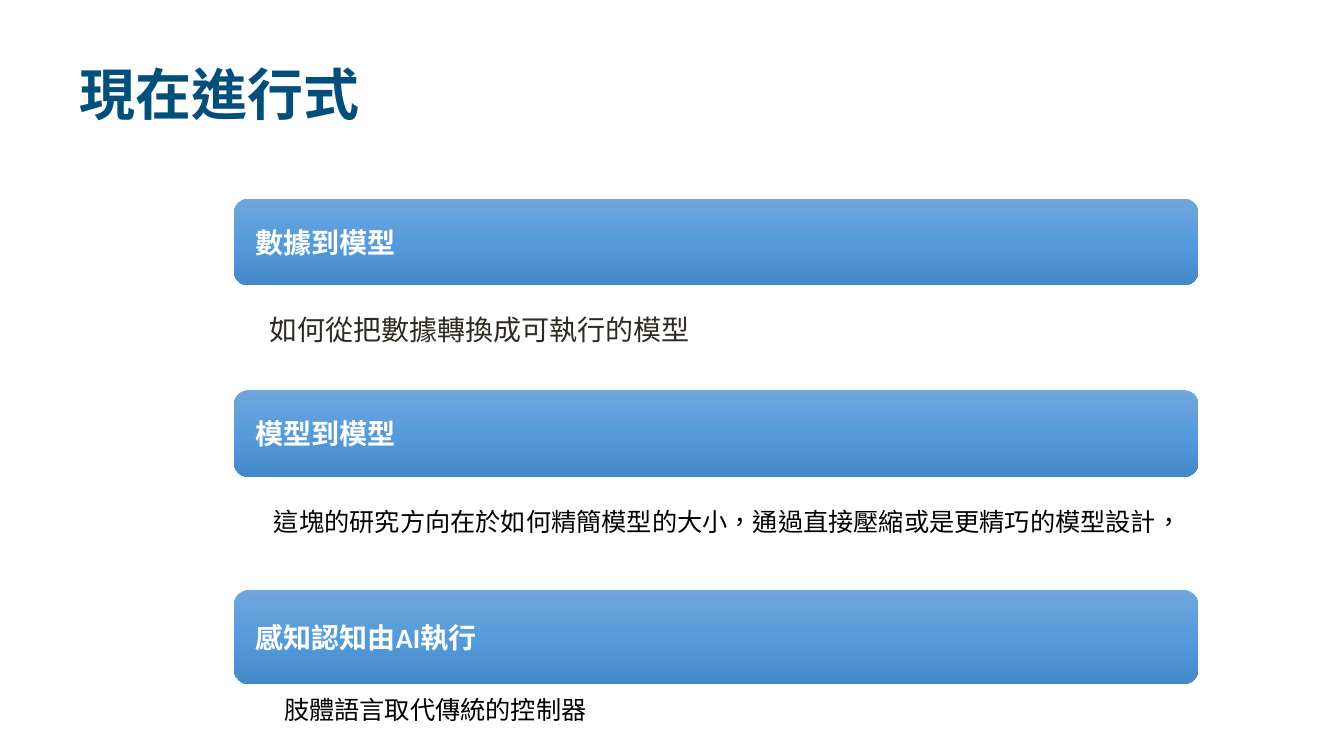
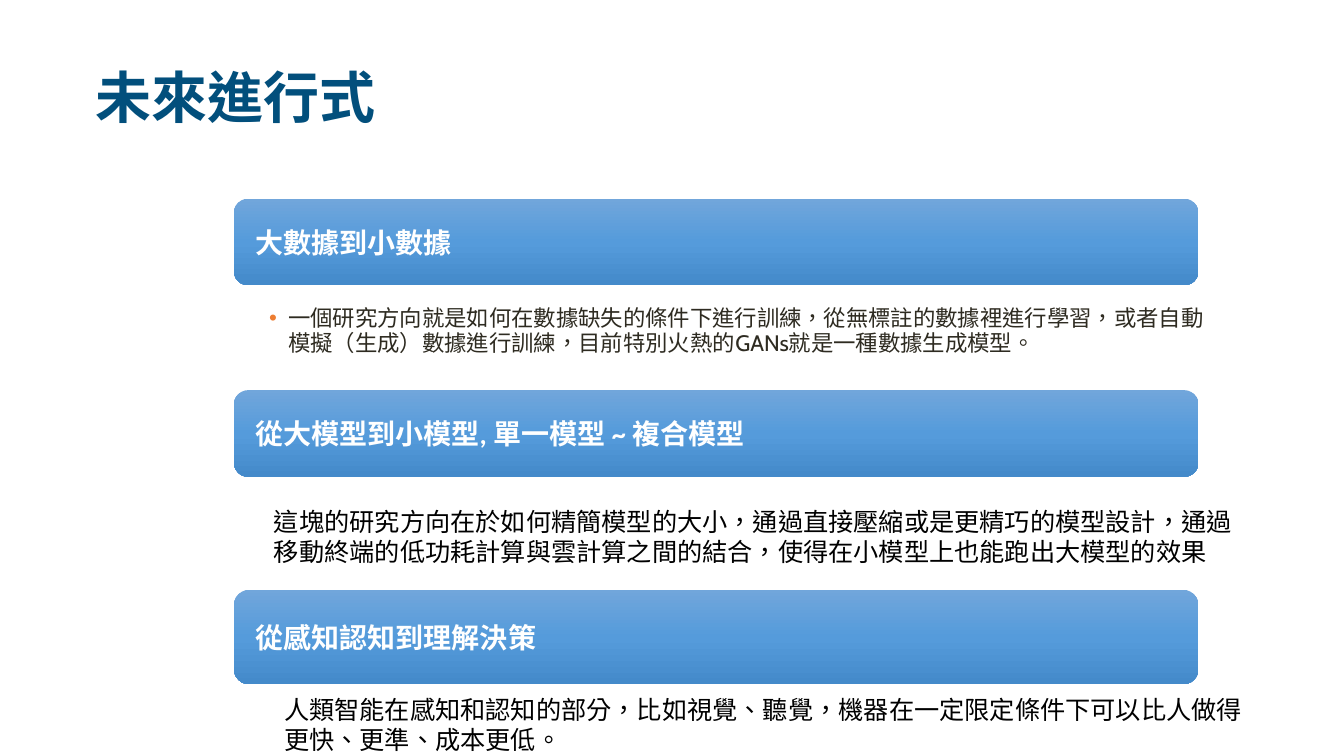
import copy

import pptx
import pptx.dml.color
import pptx.enum.dml
import pptx.enum.lang
import pptx.enum.shapes
import pptx.enum.text
import pptx.oxml
import pptx.oxml.ns
import pptx.util

RGBColor = pptx.dml.color.RGBColor
Inches, Pt = pptx.util.Inches, pptx.util.Pt
MIDDLE = pptx.enum.text.MSO_ANCHOR.MIDDLE
TOP = pptx.enum.text.MSO_ANCHOR.TOP

NAVY = RGBColor(0x02, 0x4F, 0x7C)
WHITE = RGBColor(0xFF, 0xFF, 0xFF)
BLACK = RGBColor(0, 0, 0)
INK = RGBColor(0x2E, 0x2B, 0x21)
BAR_STOPS = [(0, RGBColor(0x71, 0xA6, 0xDB)),
             (0.5, RGBColor(0x55, 0x9B, 0xDB)),
             (1, RGBColor(0x44, 0x8A, 0xCA))]
BULLET = ('<a:buClr {0}><a:srgbClr val="ED7D31"/></a:buClr>',
          '<a:buFont {0} typeface="Arial"/>', '<a:buChar {0} char="•"/>')

TITLE = dict(name="Arial", size=Pt(40), bold=True)
HEADING = dict(name="Calibri", size=Pt(20), bold=True)
LEAD = dict(name="Cabin", bold=False)
NOTE = dict(name="Calibri", size=Pt(18), bold=False)

# Places are left, top, width, height in percent of the slide
BAR_LEFT, BAR_WIDTH = 17.4, 71.78
BAR_ROWS = [(26.27, 11.47), (51.6, 11.47), (78, 12.53)]
LEAD_PLACE = (19.65, 36.67, BAR_WIDTH, 14.4)
NOTE_PLACES = [(19.65, 66.27, 73.5), (16.65, 91.2, 77.7)]
NOTE_INDENTS = [0, 0.5]

SLIDES = [
    dict(title="現在進行式", title_place=(4.95, 8, 47.18, 9.87),
         headings=["數據到模型", "模型到模型", "感知認知由AI執行"],
         lead="如何從把數據轉換成可執行的模型", lead_size=20, bullet=False,
         note_height=5.33,
         notes=["這塊的研究方向在於如何精簡模型的大小，通過直接壓縮或是更精巧的模型設計，",
                "肢體語言取代傳統的控制器"]),
    dict(title="未來進行式", title_place=(6.15, 8.67, 47.18, 9.33),
         headings=["大數據到小數據", "從大模型到小模型, 單一模型 ~ 複合模型", "從感知認知到理解決策"],
         lead="一個研究方向就是如何在數據缺失的條件下進行訓練，從無標註的數據裡進行學習，"
              "或者自動模擬（生成）數據進行訓練，目前特別火熱的GANs就是一種數據生成模型。",
         lead_size=16, bullet=True, note_height=9.47,
         notes=["這塊的研究方向在於如何精簡模型的大小，通過直接壓縮或是更精巧的模型設計，"
                "通過移動終端的低功耗計算與雲計算之間的結合，使得在小模型上也能跑出大模型的效果",
                "人類智能在感知和認知的部分，比如視覺、聽覺，機器在一定限定條件下可以比人做得"
                "更快、更準、成本更低。"]),
]

prs = pptx.Presentation()
prs.slide_width, prs.slide_height = Inches(13.33), Inches(7.5)


def place(left, top, width, height):
    """Turn percentages of the slide into lengths."""
    col, row = prs.slide_width / 100, prs.slide_height / 100
    return int(left * col), int(top * row), int(width * col), int(height * row)


def write(sp, text, fmt, color, anchor, inset, spacing=1.0, indent=0, bullet=False):
    """Fill a shape with one left-aligned paragraph; inset is (x, y) in inches."""
    tf = sp.text_frame
    tf.word_wrap = True
    tf.auto_size = pptx.enum.text.MSO_AUTO_SIZE.NONE
    tf.vertical_anchor = anchor
    tf.margin_left = tf.margin_right = Inches(inset[0])
    tf.margin_top = tf.margin_bottom = Inches(inset[1])
    p = tf.paragraphs[0]
    p.alignment = pptx.enum.text.PP_ALIGN.LEFT
    p.line_spacing = spacing
    pPr = p._p.get_or_add_pPr()
    pPr.set("marL", str(Inches(indent)))
    if bullet:
        pPr.set("indent", str(-Inches(indent)))
        for xml in BULLET:
            pPr.append(pptx.oxml.parse_xml(xml.format(pptx.oxml.ns.nsdecls("a"))))
    r = p.add_run()
    r.text = text
    for key, value in fmt.items():
        setattr(r.font, key, value)
    r.font.color.rgb = color
    r.font.language_id = pptx.enum.lang.MSO_LANGUAGE_ID.TRADITIONAL_CHINESE


for page in SLIDES:
    s = prs.slides.add_slide(prs.slide_layouts[5])
    sp = s.shapes.title
    sp.left, sp.top, sp.width, sp.height = place(*page["title_place"])
    write(sp, page["title"], TITLE, NAVY, MIDDLE, (0.13, 0.07), spacing=0.9)

    for heading, (top, height) in zip(page["headings"], BAR_ROWS):
        bar = s.shapes.add_shape(pptx.enum.shapes.MSO_SHAPE.ROUNDED_RECTANGLE,
                                 *place(BAR_LEFT, top, BAR_WIDTH, height))
        bar.shadow.inherit = False
        bar.line.fill.background()
        bar.fill.gradient()
        bar.fill.gradient_angle = 270
        first = bar._element.spPr.find(".//" + pptx.oxml.ns.qn("a:gs"))
        first.addnext(copy.deepcopy(first))
        for stop, (position, color) in zip(bar.fill.gradient_stops, BAR_STOPS):
            stop.position = position
            stop.color.rgb = color
        write(bar, heading, HEADING, WHITE, MIDDLE, (0.17, 0.09))

    sp = s.shapes.add_textbox(*place(*LEAD_PLACE))
    write(sp, page["lead"], dict(LEAD, size=Pt(page["lead_size"])), INK, MIDDLE,
          (0.05, 0.05), spacing=0.9, indent=0.19 if page["bullet"] else 0,
          bullet=page["bullet"])

    for note, spot, indent in zip(page["notes"], NOTE_PLACES, NOTE_INDENTS):
        sp = s.shapes.add_textbox(*place(*spot, page["note_height"]))
        write(sp, note, NOTE, BLACK, TOP, (0.1, 0.05), indent=indent)

prs.save("out.pptx")
